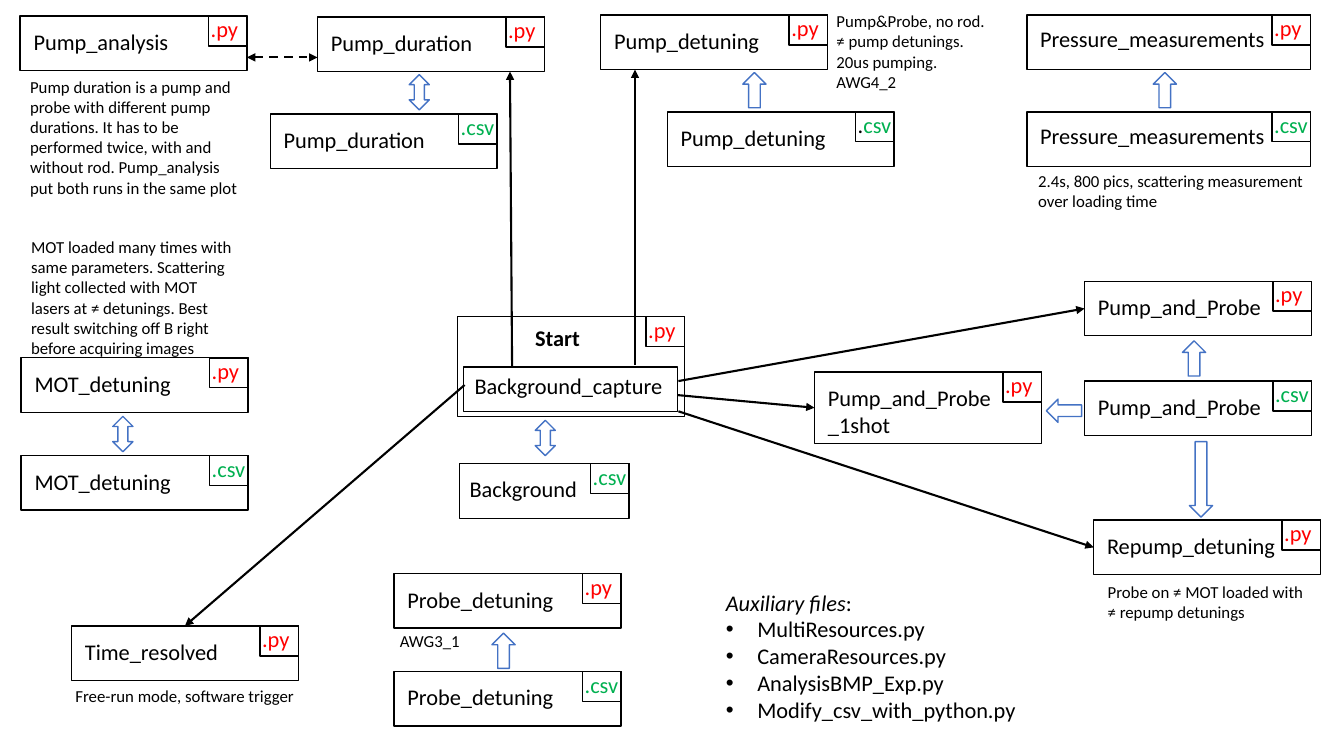
import pptx
import pptx.util
import pptx.dml.color
import pptx.enum.dml
import pptx.enum.shapes
import pptx.enum.text
import pptx.oxml
import pptx.oxml.ns
import lxml.etree

Pt = pptx.util.Pt
RGBColor = pptx.dml.color.RGBColor
MSO_SHAPE = pptx.enum.shapes.MSO_SHAPE

BLACK = RGBColor(0x00, 0x00, 0x00)
WHITE = RGBColor(0xFF, 0xFF, 0xFF)
RED = RGBColor(0xFF, 0x00, 0x00)
GREEN = RGBColor(0x00, 0xB0, 0x50)
BLUE = RGBColor(0x44, 0x72, 0xC4)
EXT_COLORS = {".py": RED, ".csv": GREEN}
FONT = "Calibri"
TAG_W, TAG_H = 27.4, 21.4
BOX_W, BOX_H = 162, 39

prs = pptx.Presentation()
prs.slide_width, prs.slide_height = Pt(960), Pt(540)
s = prs.slides.add_slide(prs.slide_layouts[1])
title = s.shapes.title.element
title.getparent().remove(title)


def add_shape(kind, x, y, w, h, line_color=BLACK):
    sp = s.shapes.add_shape(kind, Pt(x), Pt(y), Pt(w), Pt(h))
    sp.shadow.inherit = False
    sp.fill.solid()
    sp.fill.fore_color.rgb = WHITE
    sp.line.color.rgb = line_color
    sp.line.width = Pt(1)
    return sp


def add_text(x, y, w, h, text, size=16, color=BLACK, bold=False):
    tf = s.shapes.add_textbox(Pt(x), Pt(y), Pt(w), Pt(h)).text_frame
    tf.word_wrap = True
    tf.text = text
    for p in tf.paragraphs:
        p.font.name = FONT
        p.font.size = Pt(size)
        p.font.color.rgb = color
        p.font.bold = bold
    return tf


# File boxes: name, extension, left, top, width, height, label offset
LABEL = (2.5, 5.2)
files = [
    ("Start", ".py", 326.9, 226.1, BOX_W, 71.3, (48.2, 2.2)),
    ("Background", ".csv", 328.3, 331.2, 121, BOX_H, (0, 5)),
    ("Pump_and_Probe", ".py", 774.7, 200.9, BOX_W, BOX_H, LABEL),
    ("Pump_and_Probe", ".csv", 774.7, 272.2, BOX_W, BOX_H, LABEL),
    ("Pump_and_Probe\n_1shot", ".py", 581.8, 265.7, BOX_W, 51.1, LABEL),
    ("Probe_detuning", ".py", 281.5, 409.7, BOX_W, BOX_H, LABEL),
    ("Probe_detuning", ".csv", 281.5, 479.5, BOX_W, BOX_H, LABEL),
    ("Repump_detuning", ".py", 781.2, 371.5, BOX_W, BOX_H, LABEL),
    ("Time_resolved", ".py", 51.1, 447.1, BOX_W, BOX_H, LABEL),
    ("MOT_detuning", ".py", 15.1, 255.6, BOX_W, BOX_H, LABEL),
    ("MOT_detuning", ".csv", 15.1, 325.4, BOX_W, BOX_H, LABEL),
    ("Pump_analysis", ".py", 14.4, 11.5, BOX_W, BOX_H, LABEL),
    ("Pump_duration", ".py", 226.8, 12.2, BOX_W, BOX_H, LABEL),
    ("Pump_duration", ".csv", 193, 81.4, BOX_W, BOX_H, LABEL),
    ("Pump_detuning", ".py", 429.1, 10.8, BOX_W, BOX_H, LABEL),
    ("Pump_detuning", ".csv", 476.6, 79.9, BOX_W, BOX_H, LABEL),
    ("Pressure_measurements", ".py", 733.7, 10.8, 202.3, BOX_H, (2.2, 3.6)),
    ("Pressure_measurements", ".csv", 733.7, 79.9, 202.3, BOX_H, (2.2, 3.6)),
]
boxes = {}
for name, ext, x, y, w, h, (dx, dy) in files:
    boxes[name, ext] = add_shape(MSO_SHAPE.RECTANGLE, x, y, w, h)
    tag_x = x + w - TAG_W
    add_shape(MSO_SHAPE.RECTANGLE, tag_x, y, TAG_W, TAG_H)
    tag = add_text(tag_x - 5.6, y - 4, 56.2, 26.6, ext, color=EXT_COLORS[ext])
    if (name, ext) == ("Pump_detuning", ".csv"):
        # This tag alone has a black dot
        p = tag.paragraphs[0]
        p.runs[0].text = "."
        p.add_run().text = "csv"
        for r, color in zip(p.runs, (BLACK, GREEN)):
            r.font.color.rgb = color
    label_h = 26.6 + 19.4 * name.count("\n")
    add_text(x + dx, y + dy, max(168.5, w + 4.3), label_h, name, bold=name == "Start")

# Background capture, inside the start box
add_shape(MSO_SHAPE.RECTANGLE, 331.2, 262.1, 152.6, 31.7)
add_text(331.9, 262.1, 168.5, 26.6, "Background_capture")

# Block arrows between scripts and data files
for x, y in [(382.3, 300.2), (80.6, 297.4), (292.3, 53.3)]:
    add_shape(MSO_SHAPE.UP_DOWN_ARROW, x, y, 14.4, 25.2, BLUE)
for x, y, h, rotation in [
    (844.6, 243.4, 25.2, 180),
    (351.4, 452.2, 25.2, 180),
    (823.7, 51.8, 25.2, 180),
    (530.6, 51.8, 25.2, 180),
    (751.7, 280.8, 25.2, 90),
    (849.6, 315.4, 54, 0),
]:
    sp = add_shape(MSO_SHAPE.DOWN_ARROW, x, y, 16.6, h, BLUE)
    sp.rotation = rotation

# Line arrows: start, end, joined box and its side, dashed with two heads
arrows = [
    ((483.8, 282.2), (581.8, 291.2), ("Pump_and_Probe\n_1shot", ".py"), 1, False),
    ((484.6, 272.2), (774.7, 220.4), ("Pump_and_Probe", ".py"), 1, False),
    ((484.6, 293.8), (781.2, 391), ("Repump_detuning", ".py"), 1, False),
    ((331.9, 275), (132.1, 447.1), ("Time_resolved", ".py"), 0, False),
    ((365.8, 261.4), (364.3, 51.1), None, None, False),
    ((453.6, 260.6), (453.6, 49.7), None, None, False),
    ((176.4, 41), (226.8, 41), None, None, True),
]
for start, end, target, side, dashed in arrows:
    c = s.shapes.add_connector(
        pptx.enum.shapes.MSO_CONNECTOR.STRAIGHT, *[Pt(v) for v in start + end])
    if target:
        c.end_connect(boxes[target], side)
    c.line.color.rgb = BLACK
    c.line.width = Pt(1.5)
    ends = ["a:tailEnd"]
    if dashed:
        c.line.dash_style = pptx.enum.dml.MSO_LINE.DASH
        ends.insert(0, "a:headEnd")
    sp_pr = c.element.spPr
    for tag_name in ends:
        head = lxml.etree.SubElement(sp_pr.ln, pptx.oxml.ns.qn(tag_name))
        head.set("type", "triangle")
    lxml.etree.SubElement(sp_pr, pptx.oxml.ns.qn("a:effectLst"))

# Notes
notes = [
    (14.4, 51.1, 164.2, 94.3,
     "Pump duration is a pump and probe with different pump durations. It has to be "
     "performed twice, with and without rod. Pump_analysis put both runs in the same plot"),
    (15.1, 165.6, 159.8, 94.3,
     "MOT loaded many times with same parameters. Scattering light collected with MOT "
     "lasers at ≠ detunings. Best result switching off B right before acquiring images"),
    (590.4, 4.3, 123.1, 65.5,
     "Pump&Probe, no rod.\n≠ pump detunings. 20us pumping. AWG4_2"),
    (734.4, 118.1, 205.2, 36, "2.4s, 800 pics, scattering measurement over loading time"),
    (784.1, 411.8, 157, 36, "Probe on ≠ MOT loaded with ≠ repump detunings"),
    (46.8, 486, 182.2, 21.6, "Free-run mode, software trigger"),
    (278.6, 447.1, 85, 21.6, "AWG3_1"),
]
for x, y, w, h, text in notes:
    add_text(x, y, w, h, text, size=12)

# Auxiliary files list
body = s.placeholders[1]
body.left, body.top, body.width, body.height = Pt(511.2), Pt(416.9), Pt(232.6), Pt(123.8)
tf = body.text_frame
tf.auto_size = pptx.enum.text.MSO_AUTO_SIZE.NONE
tf.text = ("Auxiliary files\nMultiResources.py\nCameraResources.py\n"
           "AnalysisBMP_Exp.py\nModify_csv_with_python.py")
for i, p in enumerate(tf.paragraphs):
    p.font.name = FONT
    p.font.size = Pt(16)
    p.font.color.rgb = BLACK
    p.space_before = Pt(0)
    p_pr = p._p.get_or_add_pPr()
    indent = Pt(22.5) if i else 0
    p_pr.set("marL", str(indent))
    p_pr.set("indent", str(-indent))
    bullet = pptx.oxml.ns.qn("a:buChar" if i else "a:buNone")
    bu = pptx.oxml.parse_xml(
        '<a:buFont xmlns:a="http://schemas.openxmlformats.org/drawingml/2006/main" '
        'typeface="Arial"/>')
    def_rpr = p_pr.find(pptx.oxml.ns.qn("a:defRPr"))
    def_rpr.addprevious(bu)
    mark = lxml.etree.Element(bullet)
    if i:
        mark.set("char", "•")
    def_rpr.addprevious(mark)
heading = tf.paragraphs[0]
heading.runs[0].font.italic = True
heading.add_run().text = ":"

prs.save("out.pptx")
